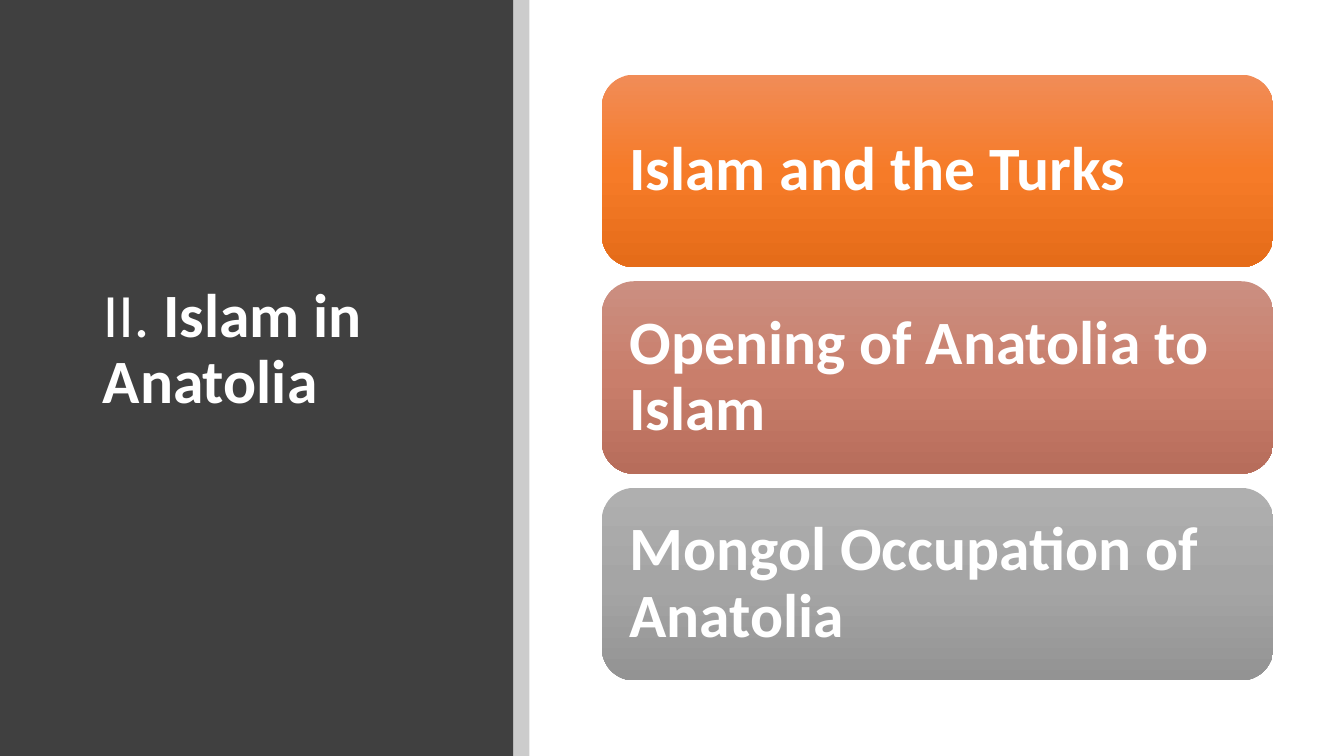
from dataclasses import dataclass

from lxml import etree
from pptx import Presentation
from pptx.dml.color import RGBColor
from pptx.enum.shapes import MSO_SHAPE
from pptx.enum.text import MSO_ANCHOR, MSO_AUTO_SIZE, PP_ALIGN
from pptx.oxml.ns import qn
from pptx.shapes.autoshape import Shape
from pptx.slide import Slide
from pptx.text.text import TextFrame, _Paragraph
from pptx.util import Inches, Pt

RECTANGLE = MSO_SHAPE.RECTANGLE
ROUNDED = MSO_SHAPE.ROUNDED_RECTANGLE
MIDDLE = MSO_ANCHOR.MIDDLE
LEFT = PP_ALIGN.LEFT
NO_AUTOFIT = MSO_AUTO_SIZE.NONE

WHITE = RGBColor(0xFF, 0xFF, 0xFF)
BLACK = RGBColor(0x00, 0x00, 0x00)
CHARCOAL = RGBColor(0x40, 0x40, 0x40)

FONT = "Calibri"
TEXT_SIZE = Pt(44)
SLIDE_HEIGHT = 7.5
PANEL_WIDTH = 5.09
STRIP_WIDTH = 0.16
TOPIC_LEFT, TOPIC_TOP = 5.97, 0.74
TOPIC_WIDTH, TOPIC_HEIGHT = 6.66, 1.91
TOPIC_PITCH = 2.05
TOPIC_INSET = 0.18


@dataclass(frozen=True)
class Topic:
    text: str
    gradient: tuple[RGBColor, RGBColor, RGBColor]


TOPICS = [
    Topic("Islam and the Turks",
          (RGBColor(0xF1, 0x8C, 0x57), RGBColor(0xF6, 0x7B, 0x28), RGBColor(0xE5, 0x6C, 0x19))),
    Topic("Opening of Anatolia to Islam",
          (RGBColor(0xCB, 0x8F, 0x81), RGBColor(0xC9, 0x7E, 0x6B), RGBColor(0xB7, 0x6D, 0x5B))),
    Topic("Mongol Occupation of Anatolia",
          (RGBColor(0xAF, 0xAF, 0xAF), RGBColor(0xA5, 0xA5, 0xA5), RGBColor(0x93, 0x93, 0x93))),
]


def add_block(slide: Slide, kind: MSO_SHAPE, left: float, top: float,
              width: float, height: float) -> Shape:
    block = slide.shapes.add_shape(kind, Inches(left), Inches(top), Inches(width), Inches(height))
    block.shadow.inherit = False
    block.line.fill.background()
    return block


def fill_solid(block: Shape, color: RGBColor) -> None:
    block.fill.solid()
    block.fill.fore_color.rgb = color


def fill_gradient(block: Shape, colors: tuple[RGBColor, ...]) -> None:
    """Spread the colours evenly from top to bottom."""
    block.fill.gradient()
    block.fill.gradient_angle = 270
    stops = block._element.spPr.find(qn("a:gradFill")).find(qn("a:gsLst"))
    for stop in list(stops):
        stops.remove(stop)
    for index, color in enumerate(colors):
        position = 100000 * index // (len(colors) - 1)
        stop = etree.SubElement(stops, qn("a:gs"), pos=str(position))
        etree.SubElement(stop, qn("a:srgbClr"), val=str(color))


def start_text(frame: TextFrame) -> _Paragraph:
    frame.word_wrap = True
    frame.auto_size = NO_AUTOFIT
    frame.vertical_anchor = MIDDLE
    paragraph = frame.paragraphs[0]
    paragraph.alignment = LEFT
    paragraph.line_spacing = 0.9
    return paragraph


def add_run(paragraph: _Paragraph, text: str, bold: bool) -> None:
    run = paragraph.add_run()
    run.text = text
    run.font.name = FONT
    run.font.size = TEXT_SIZE
    run.font.bold = bold
    run.font.color.rgb = WHITE


def add_title(slide: Slide) -> None:
    title = slide.shapes.title
    title.left, title.top = Inches(0.92), Inches(0.89)
    title.width, title.height = Inches(3.65), Inches(5.91)
    heading = start_text(title.text_frame)
    add_run(heading, "II. ", bold=False)
    add_run(heading, "Islam in Anatolia", bold=True)
    heading.add_line_break()
    # Bring the title in front of the dark panel
    slide.shapes._spTree.append(title._element)


def add_topic(slide: Slide, topic: Topic, top: float) -> None:
    card = add_block(slide, ROUNDED, TOPIC_LEFT, top, TOPIC_WIDTH, TOPIC_HEIGHT)
    fill_gradient(card, topic.gradient)
    frame = card.text_frame
    frame.margin_left = frame.margin_right = Inches(TOPIC_INSET)
    frame.margin_top = frame.margin_bottom = Inches(TOPIC_INSET)
    add_run(start_text(frame), topic.text, bold=True)


def main() -> None:
    deck = Presentation()
    deck.slide_width, deck.slide_height = Inches(13.33), Inches(SLIDE_HEIGHT)
    slide = deck.slides.add_slide(deck.slide_layouts.get_by_name("Title Only"))

    # Dark panel with the title
    panel = add_block(slide, RECTANGLE, 0, 0, PANEL_WIDTH, SLIDE_HEIGHT)
    fill_solid(panel, CHARCOAL)
    add_title(slide)

    # Translucent strip beside the panel
    strip = add_block(slide, RECTANGLE, PANEL_WIDTH, 0, STRIP_WIDTH, SLIDE_HEIGHT)
    fill_solid(strip, BLACK)
    strip_color = strip._element.spPr.find(qn("a:solidFill")).find(qn("a:srgbClr"))
    etree.SubElement(strip_color, qn("a:alpha"), val="20000")

    # Topic cards
    for index, topic in enumerate(TOPICS):
        add_topic(slide, topic, TOPIC_TOP + index * TOPIC_PITCH)

    deck.save("out.pptx")


if __name__ == "__main__":
    main()
